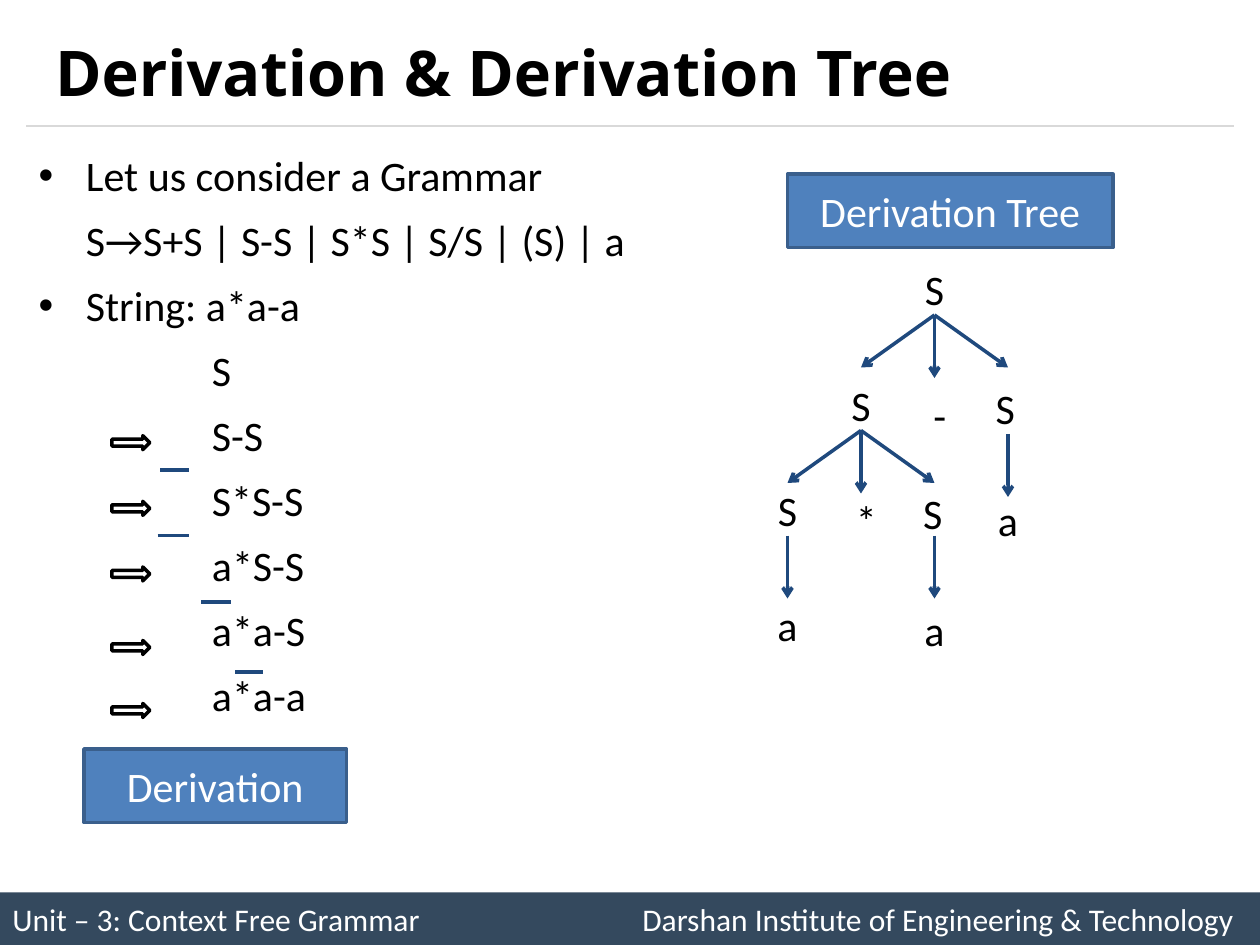
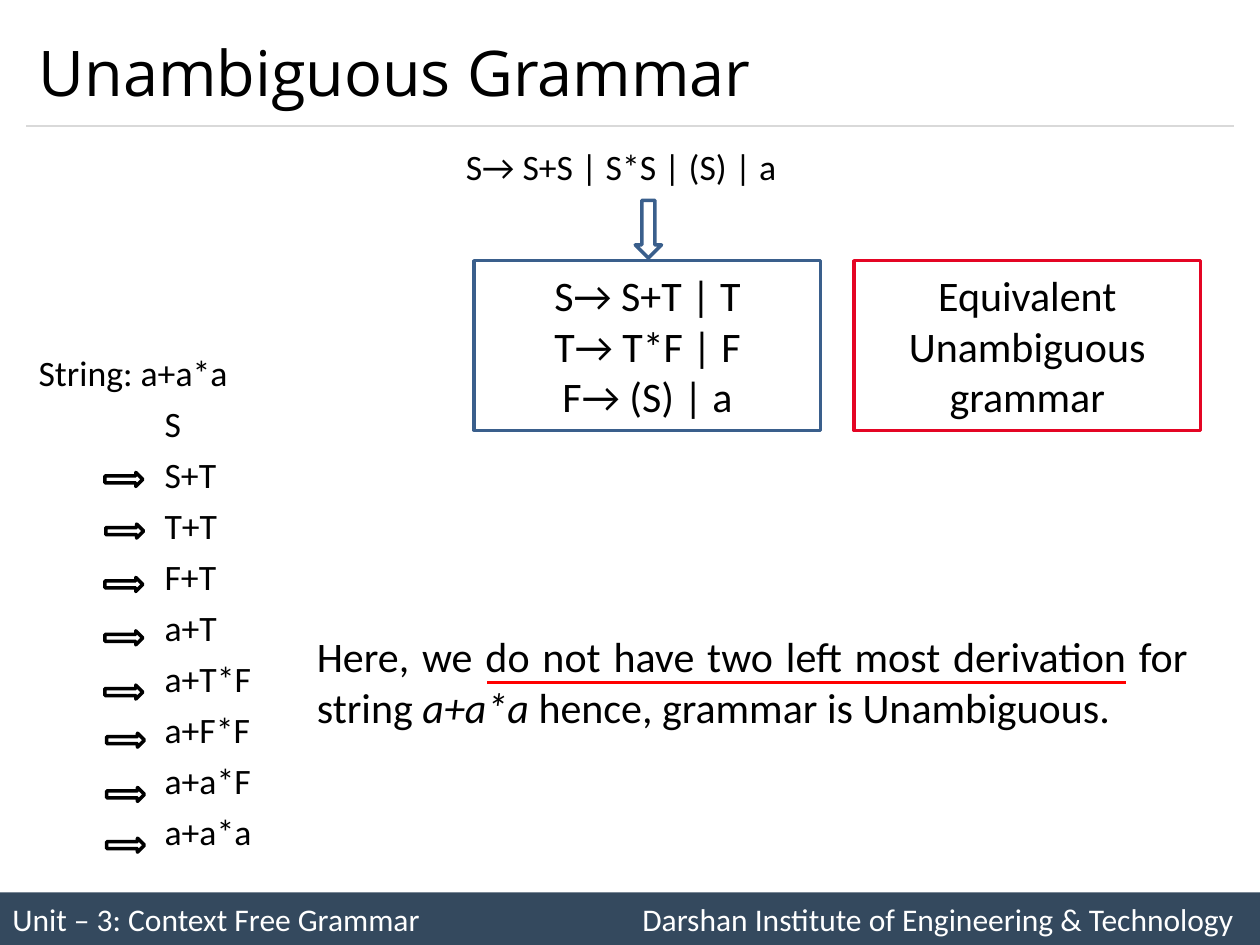
from pptx import Presentation
from pptx.dml.color import RGBColor
from pptx.enum.shapes import MSO_CONNECTOR, MSO_SHAPE
from pptx.enum.text import MSO_ANCHOR, PP_ALIGN
from pptx.oxml.ns import qn
from pptx.util import Pt
from lxml.etree import SubElement

BLACK = RGBColor(0, 0, 0)
WHITE = RGBColor(255, 255, 255)
SLATE = RGBColor(0x34, 0x49, 0x5E)
GREY = RGBColor(0xD9, 0xD9, 0xD9)
NAVY = RGBColor(0x1F, 0x49, 0x7D)
BLUE = RGBColor(0x4F, 0x81, 0xBD)
BLUE_EDGE = RGBColor(0x3A, 0x5F, 0x8C)
CRIMSON = RGBColor(0xE4, 0x05, 0x24)
RED = RGBColor(255, 0, 0)
BODY_FONT, TITLE_FONT = "Calibri", "Open Sans"
LEFT, CENTER, JUSTIFY = PP_ALIGN.LEFT, PP_ALIGN.CENTER, PP_ALIGN.JUSTIFY
TOP, MIDDLE = MSO_ANCHOR.TOP, MSO_ANCHOR.MIDDLE

FOOTER = "Unit – 3: Context Free Grammar\tDarshan Institute of Engineering & Technology"
FOOTER_TAB = 360

# Derivation slide: the text, indented by level
BULLET_INDENT, STEP_INDENT = 27, 99
GRAMMAR_INTRO = [
    ("Let us consider a Grammar", True),
    ("S→S+S | S-S | S*S | S/S | (S) | a", False),
    ("String: a*a-a", True),
]
TREE_STEPS = ["S", "S-S", "S*S-S", "a*S-S", "a*a-S", "a*a-a"]
TREE_STEP_ARROWS = [(64, y) for y in (249, 286.5, 324, 366, 402)]
REPLACED_MARKS = [(91.5, 108, 268.5), (90, 108, 306),
                  (115, 132, 344), (134.5, 150.5, 384)]
CAPTIONS = [("Derivation", (48, 428, 150, 42)),
            ("Derivation Tree", (450, 99.5, 186, 42))]

# Derivation tree: label, centre x, top, width, height
TREE_NODES = [
    ("S", 534, 150, 36, 30),
    ("S", 492, 216, 36, 30), ("-", 537, 222, 42, 30), ("S", 574.5, 218, 36, 30),
    ("S", 450, 276, 36, 30), ("*", 495, 282, 42, 30), ("S", 533, 278, 36, 30),
    ("a", 576, 282, 36, 30),
    ("a", 450, 342, 36, 30), ("a", 534, 342, 36, 36),
]
FORKS = [(534, 180), (492, 246)]
FORK_BRANCHES = [(-42, 30), (0, 36), (42, 30)]
STEMS = [(450, 306), (534, 306), (576, 248)]
STEM_LENGTH = 36

# Unambiguous grammar slide
AMBIGUOUS_RULE = "S→ S+S | S*S | (S) | a"
GRAMMAR_BOXES = [
    (["S→ S+T | T", "T→ T*F | F", "F→ (S) | a"], 271, BLUE_EDGE),
    (["Equivalent Unambiguous grammar"], 488, CRIMSON),
]
STRING_LINE = "String: a+a*a"
STRING_STEPS = ["S", "S+T", "T+T", "F+T", "a+T", "a+T*F", "a+F*F", "a+a*F", "a+a*a"]
STRING_STEP_ARROWS = [(60, 270), (60.5, 299.5), (60, 330), (60, 360.5),
                      (60, 391.5), (61, 419), (61, 450), (61, 479)]
CONCLUSION = [("Here, we do not have two left most derivation for string ", False),
              ("a+a*a ", True),
              ("hence, grammar is Unambiguous.", False)]


def style_text(tf, size=24, color=BLACK, align=LEFT, anchor=MIDDLE,
               font=BODY_FONT, bold=False):
    tf.word_wrap = True
    tf.vertical_anchor = anchor
    for p in tf.paragraphs:
        p.alignment = align
        for r in p.runs:
            r.font.name, r.font.size, r.font.bold = font, Pt(size), bold
            r.font.color.rgb = color


def add_text(s, text, box, **style):
    sp = s.shapes.add_textbox(*map(Pt, box))
    sp.text_frame.text = text
    style_text(sp.text_frame, **style)
    return sp


def add_block(s, kind, box, fill=None, edge=None):
    sp = s.shapes.add_shape(kind, *map(Pt, box))
    sp.shadow.inherit = False
    if fill is None:
        sp.fill.background()
    else:
        sp.fill.solid()
        sp.fill.fore_color.rgb = fill
    if edge is None:
        sp.line.fill.background()
    else:
        sp.line.color.rgb = edge
        sp.line.width = Pt(2)
    return sp


def add_line(s, start, end, color=NAVY, width=2, arrow=False):
    line = s.shapes.add_connector(MSO_CONNECTOR.STRAIGHT, *map(Pt, start + end))
    line.line.color.rgb = color
    line.line.width = Pt(width)
    if arrow:
        SubElement(line.line._get_or_add_ln(), qn("a:tailEnd"), type="arrow")
    SubElement(line._element.spPr, qn("a:effectLst"))
    return line


def add_step_arrows(s, places):
    for x, y in places:
        add_block(s, MSO_SHAPE.RIGHT_ARROW, (x, y, 21.6, 8), edge=BLACK)


def add_list(s, items, box, size, spacing, before, align=LEFT):
    """Items are (text, left indent, bulleted)."""
    sp = add_text(s, "\n".join(text for text, _, _ in items), box,
                  size=size, align=align, anchor=TOP)
    for i, (p, (_, indent, bulleted)) in enumerate(zip(sp.text_frame.paragraphs, items)):
        p.line_spacing = spacing
        if i:
            p.space_before = Pt(before)
        pPr = p._p.get_or_add_pPr()
        pPr.set("marL", str(Pt(indent)))
        if bulleted:
            pPr.set("indent", str(-Pt(indent)))
            SubElement(pPr, qn("a:buFont"), typeface="Arial")
            SubElement(pPr, qn("a:buChar"), char="•")


def start_slide(prs, title, title_left=15, bold=False):
    """Blank slide with the shared footer band, rule and title."""
    s = prs.slides.add_slide(prs.slide_layouts[6])
    band = add_block(s, MSO_SHAPE.RECTANGLE, (0, 510, 720, 30), fill=SLATE)
    band.text_frame.text = FOOTER
    pPr = band.text_frame.paragraphs[0]._p.get_or_add_pPr()
    tabs = SubElement(pPr, qn("a:tabLst"))
    SubElement(tabs, qn("a:tab"), pos=str(Pt(FOOTER_TAB)), algn="l")
    style_text(band.text_frame, size=18, color=WHITE)
    add_line(s, (15, 72), (705, 72), GREY, 0.75)
    add_text(s, title, (title_left, 9, 690, 63), size=36, font=TITLE_FONT, bold=bold)
    return s


def add_tree(s):
    tops, bottoms = {}, {}
    for label, cx, top, w, h in TREE_NODES:
        sp = add_text(s, label, (cx - w / 2, top, w, h), align=CENTER)
        tops[cx, top] = bottoms[cx, top + h] = sp
    branches = [((x, y), (x + dx, y + dy)) for x, y in FORKS for dx, dy in FORK_BRANCHES]
    stems = [((x, y), (x, y + STEM_LENGTH)) for x, y in STEMS]
    for start, end in branches + stems:
        line = add_line(s, start, end, arrow=True)
        if start in bottoms:
            line.begin_connect(bottoms[start], 2)
        if end in tops:
            line.end_connect(tops[end], 0)


def build_derivation(prs):
    s = start_slide(prs, "Derivation & Derivation Tree", title_left=24.4, bold=True)
    items = [(text, BULLET_INDENT, bulleted) for text, bulleted in GRAMMAR_INTRO]
    items += [(step, STEP_INDENT, False) for step in TREE_STEPS]
    add_list(s, items, (15, 78, 420, 350), size=24, spacing=1.14, before=4.3)
    add_tree(s)
    for caption, box in CAPTIONS:
        sp = add_block(s, MSO_SHAPE.RECTANGLE, box, BLUE, BLUE_EDGE)
        sp.text_frame.text = caption
        style_text(sp.text_frame, color=WHITE, align=CENTER)
    for left, right, y in REPLACED_MARKS:
        add_line(s, (left, y), (right, y))
    add_step_arrows(s, TREE_STEP_ARROWS)


def build_unambiguous(prs):
    s = start_slide(prs, "Unambiguous Grammar")
    rhythm = dict(size=20.4, spacing=1.04, before=3.7)
    add_list(s, [(AMBIGUOUS_RULE, 0, False)], (15, 78, 680, 34), align=CENTER, **rhythm)
    items = [(STRING_LINE, 0, False)] + [(step, 72, False) for step in STRING_STEPS]
    add_list(s, items, (15, 196, 158, 304), **rhythm)
    for lines, left, edge in GRAMMAR_BOXES:
        sp = add_block(s, MSO_SHAPE.RECTANGLE, (left, 149, 198, 97), edge=edge)
        sp.text_frame.text = "\n".join(lines)
        style_text(sp.text_frame, align=CENTER)
    add_block(s, MSO_SHAPE.DOWN_ARROW, (363, 114.5, 15, 33), edge=BLUE_EDGE)
    add_step_arrows(s, STRING_STEP_ARROWS)

    note = s.shapes.add_textbox(Pt(174), Pt(354), Pt(512), Pt(70.5))
    p = note.text_frame.paragraphs[0]
    for text, italic in CONCLUSION:
        r = p.add_run()
        r.text = text
        r.font.italic = italic
    style_text(note.text_frame, align=JUSTIFY)
    add_line(s, (278.5, 390), (643.5, 390), RED)


def main():
    prs = Presentation()
    prs.slide_width, prs.slide_height = Pt(720), Pt(540)
    build_derivation(prs)
    build_unambiguous(prs)
    prs.save("out.pptx")


if __name__ == "__main__":
    main()
